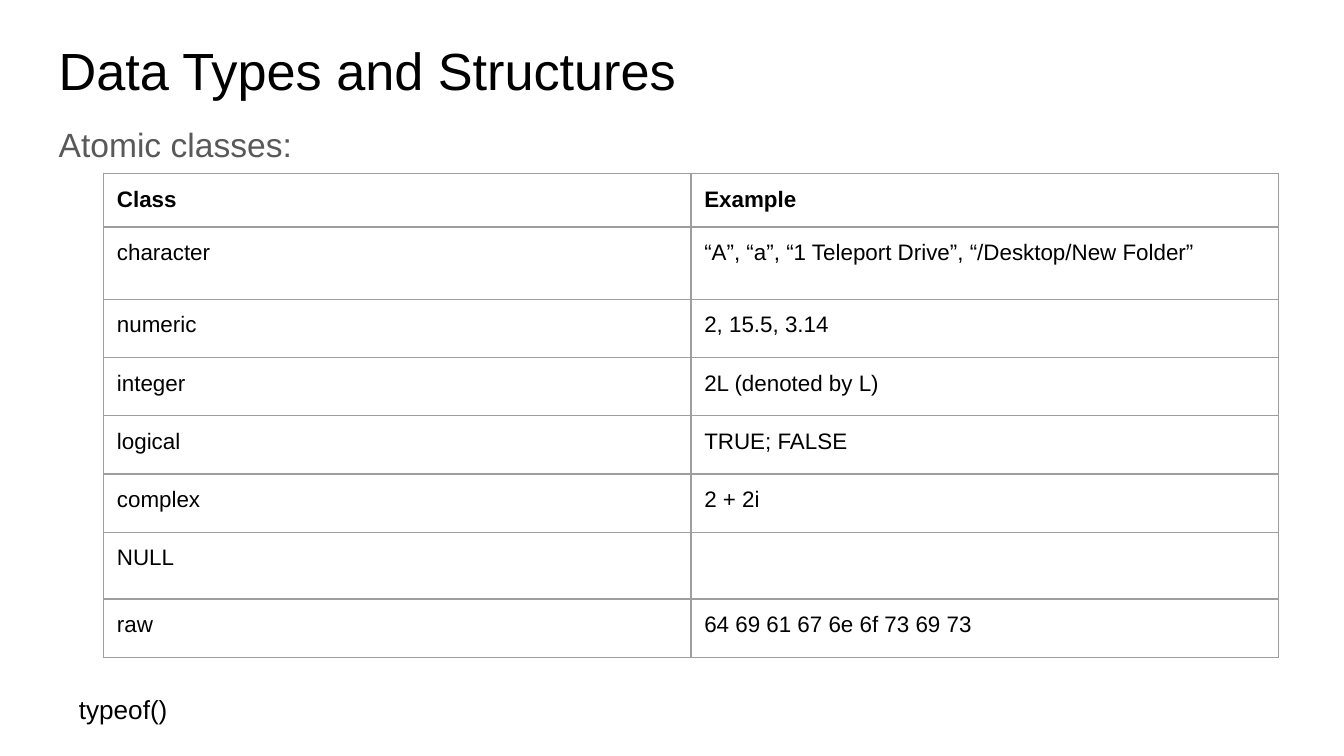
"""Build the slide on data types and structures."""
import pptx
import pptx.util
import pptx.dml.color
import pptx.oxml
import pptx.oxml.ns

Cm, Pt = pptx.util.Cm, pptx.util.Pt
HUES = {"ink": "000000", "soft": "595959", "rule": "9E9E9E"}
TEXTS = [
    ("Data Types and Structures", (0.86, 0.48, 23.67, 1.6),
     {"size": Pt(28)}, "ink", {}),
    ("Atomic classes:", (0.86, 1.98, 23.67, 9.5), {"size": Pt(18)}, "soft",
     {"line_spacing": 1.15, "space_after": Pt(16)}),
    ("typeof()", (1.24, 12.85, 12.29, 1.42), {"size": Pt(14)}, "ink", {}),
]
ROWS = [
    ("Class", "Example", 0.97),
    ("character", "“A”, “a”, “1 Teleport Drive”, “/Desktop/New Folder”", 1.37),
    ("numeric", "2, 15.5, 3.14", 1.1),
    ("integer", "2L (denoted by L)", 1.1),
    ("logical", "TRUE; FALSE", 1.1),
    ("complex", "2 + 2i", 1.1),
    ("NULL", "", 1.22),
    ("raw", "64 69 61 67 6e 6f 73 69 73", 1.11),
]
LEFT, TOP, WIDE = 1.96, 3.28, 11.1
PAD = {f"margin_{side}": Cm(0.25) for side in ("left", "right", "top", "bottom")}


def apply(item, style):
    for name, value in style.items():
        setattr(item, name, value)


def write(frame, text, font, hue, para):
    line = frame.paragraphs[0]
    apply(line, para)
    if text:
        run = line.add_run()
        run.text = text
        apply(run.font, {"name": "Arial", **font})
        run.font.color.rgb = pptx.dml.color.RGBColor.from_string(HUES[hue])


def border(cell):
    props = cell._tc.get_or_add_tcPr()
    space = pptx.oxml.ns.nsdecls("a")
    for at, side in enumerate(("lnL", "lnR", "lnT", "lnB")):
        props.insert(at, pptx.oxml.parse_xml(
            f'<a:{side} {space} w="{Pt(0.75)}"><a:solidFill>'
            f'<a:srgbClr val="{HUES["rule"]}"/></a:solidFill></a:{side}>'))


deck = pptx.Presentation()
apply(deck, {"slide_width": Cm(25.4), "slide_height": Cm(14.29)})
slide = deck.slides.add_slide(deck.slide_layouts[6])

for text, box, font, hue, para in TEXTS:
    frame = slide.shapes.add_textbox(*map(Cm, box)).text_frame
    apply(frame, {"word_wrap": True, **PAD})
    write(frame, text, font, hue, para)

tall = sum(row[-1] for row in ROWS)
table = slide.shapes.add_table(
    len(ROWS), 2, Cm(LEFT), Cm(TOP), Cm(2 * WIDE), Cm(tall)).table
apply(table, {"first_row": False, "horz_banding": False})
for r, (*words, high) in enumerate(ROWS):
    table.rows[r].height = Cm(high)
    for c, text in enumerate(words):
        cell = table.cell(r, c)
        apply(cell, PAD)
        cell.fill.background()
        border(cell)
        write(cell.text_frame, text, {"size": Pt(12), "bold": r == 0}, "ink", {})

deck.save("out.pptx")
